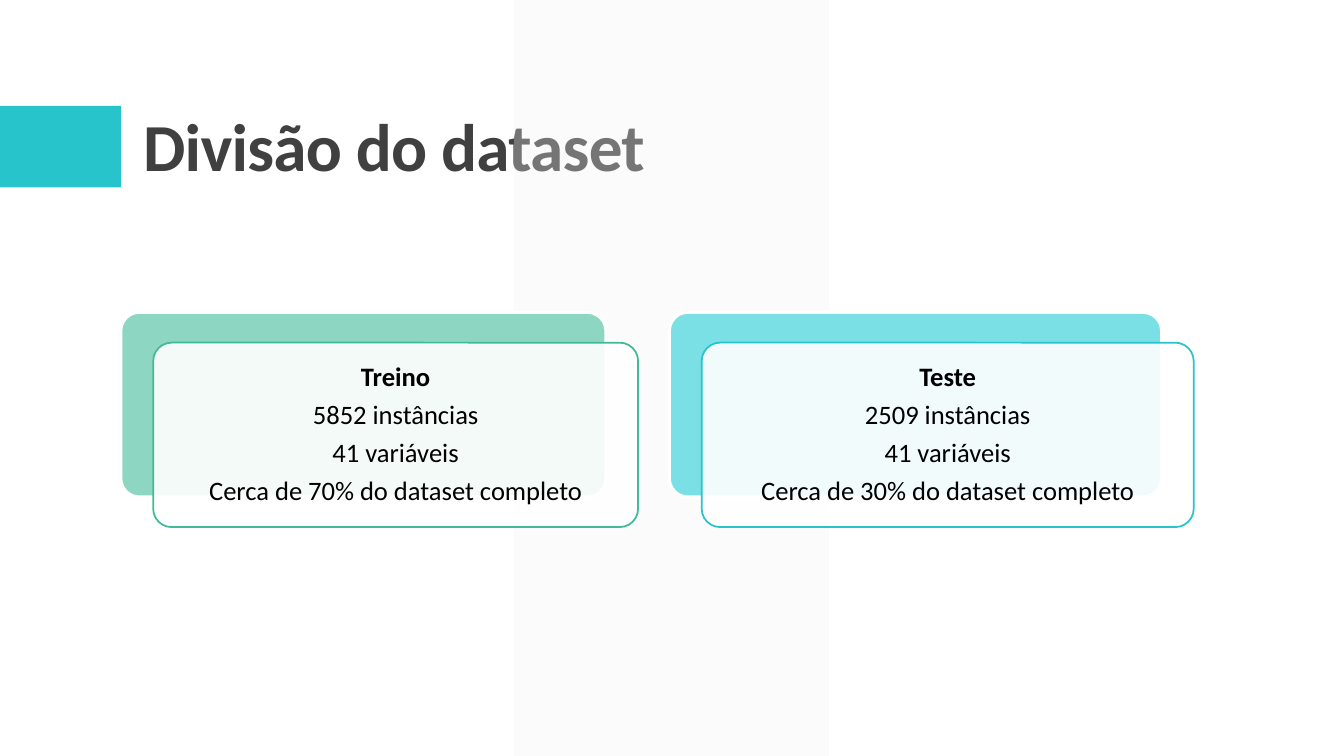
import dataclasses

import pptx
import pptx.dml.color
import pptx.enum.shapes
import pptx.enum.text
import pptx.oxml.ns
import pptx.util
import lxml.etree

SLIDE_WIDTH = pptx.util.Inches(13.33)
SLIDE_HEIGHT = pptx.util.Inches(7.5)
COLUMN = SLIDE_WIDTH / 100
ROW = SLIDE_HEIGHT / 100
PRESET = pptx.enum.shapes.MSO_SHAPE
ALIGN = pptx.enum.text.PP_ALIGN
ANCHOR = pptx.enum.text.MSO_ANCHOR


@dataclasses.dataclass(frozen=True)
class Theme:
    font: str = "Calibri"
    title_size: int = 48
    card_size: int = 19
    title: str = "404040"
    text: str = "000000"
    white: str = "FFFFFF"
    band: str = "F2F2F2"
    accent: str = "28C4CC"
    train_back: str = "8DD6C1"
    train_line: str = "42BA97"
    test_back: str = "7AE0E5"


THEME = Theme()


def rgb(color):
    return pptx.dml.color.RGBColor.from_string(color)


def grid_box(left, top, width, height):
    return [round(value) for value in
            (left * COLUMN, top * ROW, width * COLUMN, height * ROW)]


def add_panel(slide, preset, box, fill, opacity=100, line=None, line_width=0):
    panel = slide.shapes.add_shape(preset, *grid_box(*box))
    panel.shadow.inherit = False
    panel.fill.solid()
    panel.fill.fore_color.rgb = rgb(fill)
    if opacity < 100:
        color = panel.fill._xPr.find(".//" + pptx.oxml.ns.qn("a:srgbClr"))
        lxml.etree.SubElement(color, pptx.oxml.ns.qn("a:alpha"),
                              val=str(opacity * 1000))
    if line:
        panel.line.color.rgb = rgb(line)
        panel.line.width = pptx.util.Pt(line_width)
    else:
        panel.line.fill.background()
    return panel


def add_run(paragraph, text, size, color, bold):
    run = paragraph.add_run()
    run.text = text
    run.font.name = THEME.font
    run.font.size = pptx.util.Pt(size)
    run.font.color.rgb = rgb(color)
    run.font.bold = bold
    return run


def fill_title(slide, text):
    title = slide.shapes.title
    title.left, title.top, title.width, title.height = grid_box(
        9.9, 4.13, 82.52, 21.2)
    frame = title.text_frame
    frame.auto_size = pptx.enum.text.MSO_AUTO_SIZE.NONE
    frame.vertical_anchor = ANCHOR.BOTTOM
    heading = frame.paragraphs[0]
    heading.alignment = ALIGN.LEFT
    heading.line_spacing = 0.9
    run = add_run(heading, text, THEME.title_size, THEME.title, True)
    run.font._element.set("spc", "-50")


def add_card(slide, left, width, back, outline, lines):
    top, height, shift_x, shift_y = 41.33, 24.4, 2.4, 4
    backing = add_panel(slide, PRESET.ROUNDED_RECTANGLE,
                        (left, top, width, height), back,
                        line=THEME.white, line_width=2)
    card = add_panel(slide, PRESET.ROUNDED_RECTANGLE,
                     (left + shift_x, top + shift_y, width, height),
                     THEME.white, 90, outline, 1.25)
    for panel in (backing, card):
        panel.adjustments[0] = 0.1
    frame = card.text_frame
    frame.word_wrap = True
    frame.vertical_anchor = ANCHOR.MIDDLE
    for index, text in enumerate(lines):
        paragraph = frame.add_paragraph() if index else frame.paragraphs[0]
        paragraph.alignment = ALIGN.CENTER
        paragraph.line_spacing = 0.9
        paragraph.space_after = pptx.util.Pt(0.35 * THEME.card_size)
        add_run(paragraph, text, THEME.card_size, THEME.text, index == 0)
    return left + shift_x + width


def main():
    deck = pptx.Presentation()
    deck.slide_width, deck.slide_height = SLIDE_WIDTH, SLIDE_HEIGHT
    slide = deck.slides.add_slide(deck.slide_layouts.get_by_name("Title Only"))
    add_panel(slide, PRESET.RECTANGLE, (38.26, 0, 23.41, 100), THEME.band, 30)
    add_panel(slide, PRESET.RECTANGLE, (0, 14, 9, 10.8), THEME.accent)
    fill_title(slide, "Divisão do dataset")

    train_right = add_card(
        slide, 9, 36.08, THEME.train_back, THEME.train_line,
        ["Treino", "5852 instâncias", "41 variáveis",
         "Cerca de 70% do dataset completo"])
    add_card(
        slide, train_right + 2.33, 36.61, THEME.test_back, THEME.accent,
        ["Teste", "2509 instâncias", "41 variáveis",
         "Cerca de 30% do dataset completo"])
    deck.save("out.pptx")


if __name__ == "__main__":
    main()
